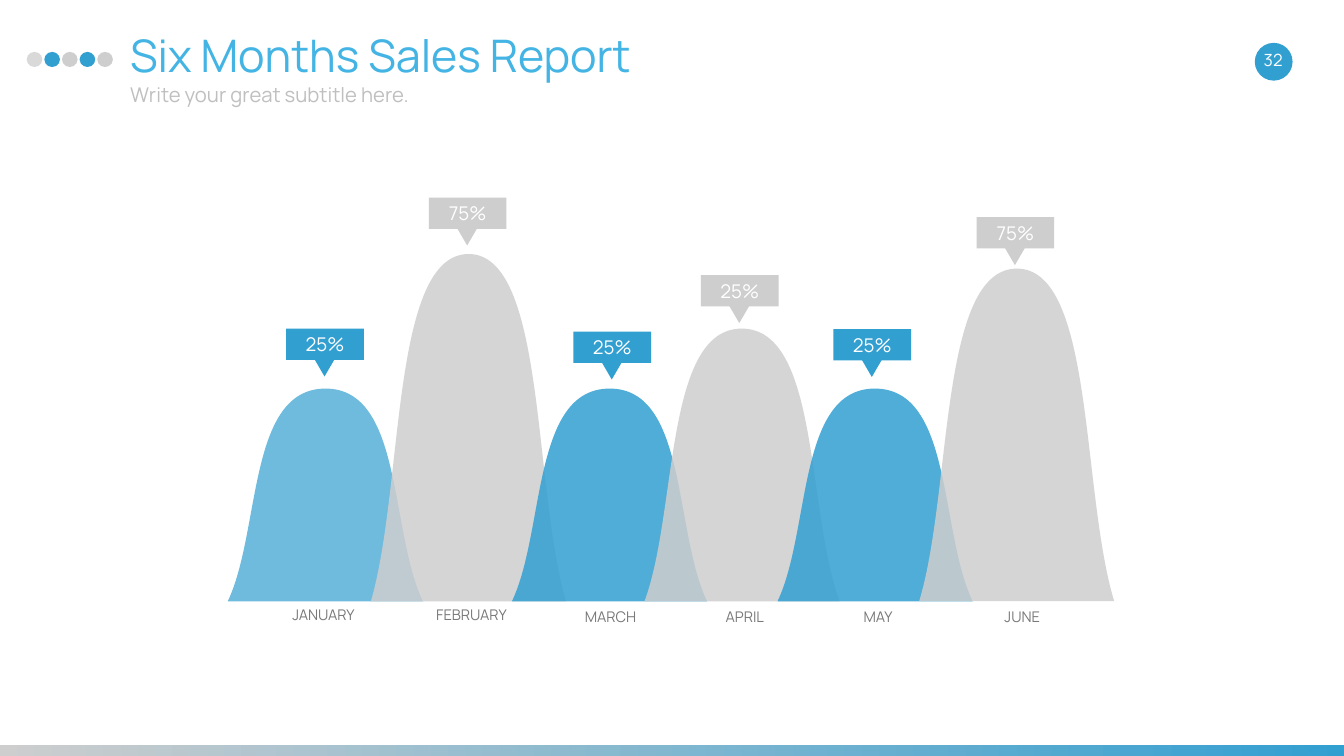
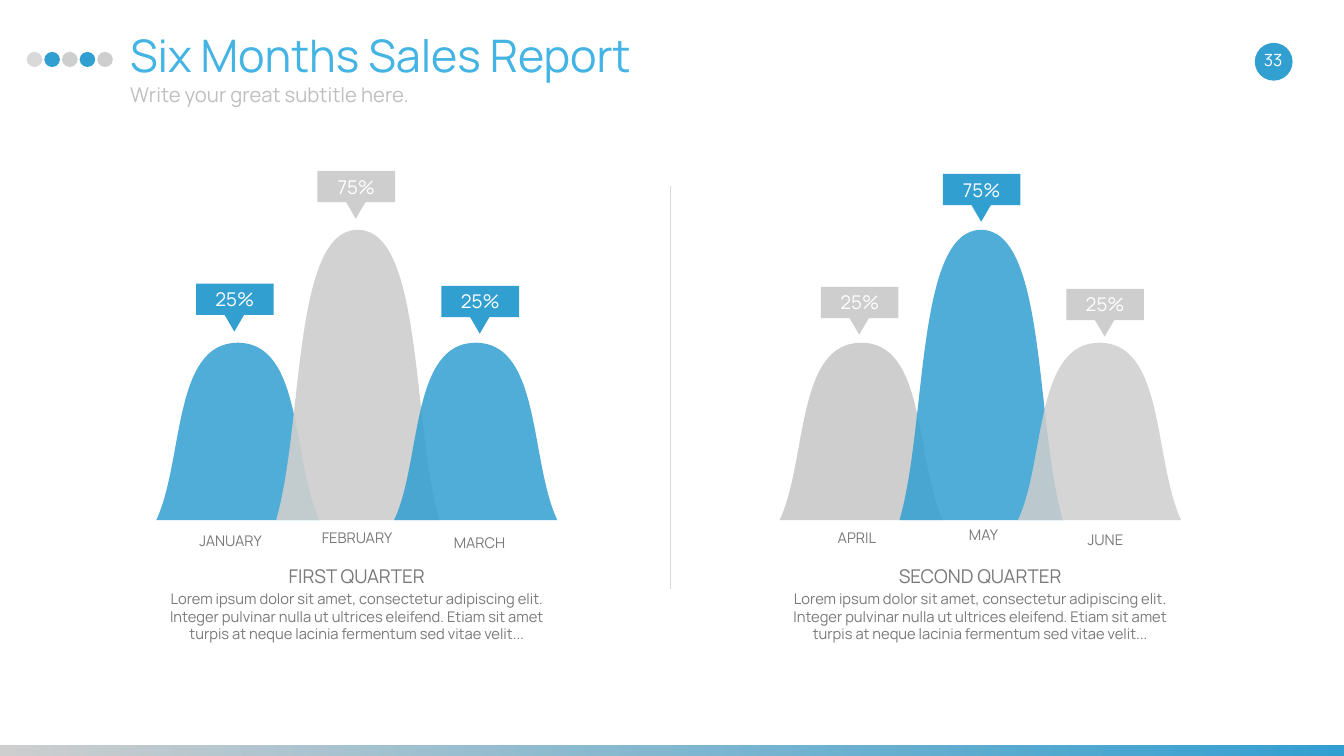
from pptx import Presentation
from pptx.dml.color import RGBColor
from pptx.enum.shapes import MSO_CONNECTOR as Connector, MSO_SHAPE as Shape
from pptx.enum.text import MSO_ANCHOR as Anchor, MSO_AUTO_SIZE as AutoSize, PP_ALIGN as Align
from pptx.oxml.ns import qn
from pptx.oxml.xmlchemy import OxmlElement
from pptx.util import Emu, Pt

# Colours
BLUE = RGBColor(0x32, 0x9F, 0xD1)
SKY = RGBColor(0x43, 0xB4, 0xE3)
GRAY = RGBColor(0xCE, 0xCE, 0xCE)
PALE = RGBColor(0xD9, 0xD9, 0xD9)
SILVER = RGBColor(0xBF, 0xBF, 0xBF)
TEXT = RGBColor(0x79, 0x79, 0x79)
WHITE = RGBColor(0xFF, 0xFF, 0xFF)

FONT = "Manrope"
SCALE = 9144  # EMU per px, 100 px to the inch
WIDTH, HEIGHT = 2667, 1500

# Text box margins: left, top, right, bottom
WIDE = (27, 13, 27, 13)
NARROW = (10, 5, 10, 5)
NONE = (0, 0, 0, 0)

TITLE = "Six Months Sales Report"
SUBTITLE = "Write your great subtitle here."
LOREM = ("Lorem ipsum dolor sit amet, consectetur adipiscing elit. Integer pulvinar nulla "
         "ut ultrices eleifend. Etiam sit amet turpis at neque lacinia fermentum sed vitae velit...")


def px(*lengths):
    return [Emu(length * SCALE) for length in lengths]


def assign(target, values):
    for name, value in values.items():
        setattr(target, name, value)


class Report:
    """Holds the deck style and the current page."""

    def __init__(self):
        self.deck = Presentation()
        self.deck.slide_width, self.deck.slide_height = px(WIDTH, HEIGHT)
        self.page = None

    def start_page(self, number):
        self.page = self.deck.slides.add_slide(self.deck.slide_layouts[5])

        # Footer band
        band = self.shape(Shape.RECTANGLE, (0, 1479, WIDTH, 38), GRAY)
        band.fill.gradient()
        band.fill.gradient_angle = 0
        for stop, color, position in zip(band.fill.gradient_stops, (GRAY, BLUE), (0, 1)):
            stop.color.rgb = color
            stop.position = position

        # Header dots and page number badge
        for index, color in enumerate((PALE, BLUE, GRAY, BLUE, GRAY)):
            self.shape(Shape.OVAL, (53 + 35 * index, 103, 31, 30), color)
        self.shape(Shape.OVAL, (2490, 85, 75, 75), BLUE)

        # Title, subtitle and number
        title = self.page.shapes.title
        assign(title, dict(zip(("left", "top", "width", "height"), px(231, 41, 2125, 160))))
        self.fill_text(title, [(TITLE, 64)], SKY, align=Align.LEFT)
        self.text((231, 150, 2125, 85), [(SUBTITLE, 29)], SILVER, align=Align.LEFT)
        self.text((2468, 78, 117, 80), [(str(number), 24)], WHITE, anchor=Anchor.MIDDLE)

    def fill_text(self, box, lines, color, margins=WIDE, align=Align.CENTER, anchor=Anchor.TOP):
        frame = box.text_frame
        sides = ("margin_left", "margin_top", "margin_right", "margin_bottom")
        assign(frame, dict(zip(sides, px(*margins))))
        assign(frame, {"word_wrap": True, "auto_size": AutoSize.NONE, "vertical_anchor": anchor})
        for index, (words, size) in enumerate(lines):
            para = frame.add_paragraph() if index else frame.paragraphs[0]
            assign(para, {"alignment": align, "space_before": Pt(4 if index else 0)})
            span = para.add_run()
            span.text = words
            assign(span.font, {"name": FONT, "size": Pt(size), "bold": False})
            span.font.color.rgb = color

    def text(self, area, lines, color=TEXT, **style):
        self.fill_text(self.page.shapes.add_textbox(*px(*area)), lines, color, **style)

    def paint(self, shape, color):
        shape.shadow.inherit = False
        shape.fill.solid()
        shape.fill.fore_color.rgb = color
        shape.line.fill.background()

    def shape(self, kind, area, color):
        shape = self.page.shapes.add_shape(kind, *px(*area))
        self.paint(shape, color)
        return shape

    def bell(self, left, top, width, base, color, opacity):
        # Two mirrored curves, given as shares of width and height
        shares = ((0.17, 0.67), (0.1, 0), (0.5, 0), (0.9, 0), (0.83, 0.67), (1, 1))
        points = [(left + x * width, top + y * (base - top)) for x, y in shares]
        builder = self.page.shapes.build_freeform(left, base, scale=SCALE)
        builder.add_line_segments(points, close=True)
        bell = builder.convert_to_shape()
        self.paint(bell, color)

        # Turn each three straight segments into one curve
        segments = list(bell.element.iter(qn("a:lnTo")))
        for half in (segments[:3], segments[3:]):
            curve = OxmlElement("a:cubicBezTo")
            half[0].addprevious(curve)
            for segment in half:
                curve.append(segment[0])
                segment.getparent().remove(segment)

        if opacity < 100:
            alpha = OxmlElement("a:alpha")
            alpha.set("val", str(opacity * 1000))
            next(bell.element.spPr.iter(qn("a:srgbClr"))).append(alpha)

    def callout(self, left, top, value, color):
        pointer = self.shape(Shape.ISOSCELES_TRIANGLE, (left + 44, top + 40, 64, 55), color)
        pointer.rotation = 180
        label = self.shape(Shape.RECTANGLE, (left, top, 154, 62), color)
        self.fill_text(label, [(value, 27)], WHITE, margins=NONE, anchor=Anchor.MIDDLE)

    def divider(self, x, top, bottom):
        line = self.page.shapes.add_connector(Connector.STRAIGHT, *px(x, top, x, bottom))
        line.line.color.rgb = PALE
        line.line.width = Pt(1)
        line.element.spPr.append(OxmlElement("a:effectLst"))

    def months(self, rows, width, base, margins):
        for _, color, opacity, (left, top), _, _, _ in rows:
            self.bell(left, top, width, base, color, opacity)
        for month, _, _, _, area, _, _ in rows:
            self.text((*area, 83), [(month, 21)], margins=margins)
        for _, color, _, _, _, corner, value in rows:
            self.callout(*corner, value, color)


# Month, colour, opacity, bell corner, label left/top/width, callout corner, value
HALF_YEAR = [
    ("JANUARY", BLUE, 70, (452, 771), (514, 1197, 256), (568, 652), "25%"),
    ("FEBRUARY", GRAY, 85, (736, 504), (818, 1197, 235), (851, 392), "75%"),
    ("MARCH", BLUE, 85, (1016, 771), (1077, 1201, 269), (1138, 658), "25%"),
    ("APRIL", GRAY, 85, (1279, 652), (1350, 1201, 256), (1391, 546), "25%"),
    ("MAY", BLUE, 85, (1543, 771), (1625, 1201, 235), (1654, 653), "25%"),
    ("JUNE", GRAY, 85, (1824, 533), (1894, 1201, 269), (1938, 431), "75%"),
]
FIRST_QUARTER = [
    ("JANUARY", BLUE, 85, (310, 680), (329, 1043, 257), (389, 563), "25%"),
    ("FEBRUARY", GRAY, 91, (548, 456), (591, 1037, 235), (630, 339), "75%"),
    ("MARCH", BLUE, 85, (782, 680), (817, 1047, 269), (876, 567), "25%"),
]
SECOND_QUARTER = [
    ("APRIL", GRAY, 100, (1547, 680), (1572, 1037, 257), (1629, 569), "25%"),
    ("MAY", BLUE, 85, (1785, 456), (1834, 1031, 235), (1871, 345), "75%"),
    ("JUNE", GRAY, 85, (2020, 680), (2059, 1041, 269), (2116, 573), "25%"),
]


def main():
    report = Report()

    # Six months side by side
    report.start_page(32)
    report.months(HALF_YEAR, 387, 1193, NARROW)

    # Two quarters with a divider
    report.start_page(33)
    report.divider(1331, 369, 1169)
    quarters = (("FIRST QUARTER", FIRST_QUARTER, 310), ("SECOND QUARTER", SECOND_QUARTER, 1547))
    for heading, rows, left in quarters:
        report.months(rows, 324, 1032, WIDE)
        report.text((left, 1107, 796, 221), [(heading, 27), (LOREM, 21)])

    report.deck.save("out.pptx")


if __name__ == "__main__":
    main()
